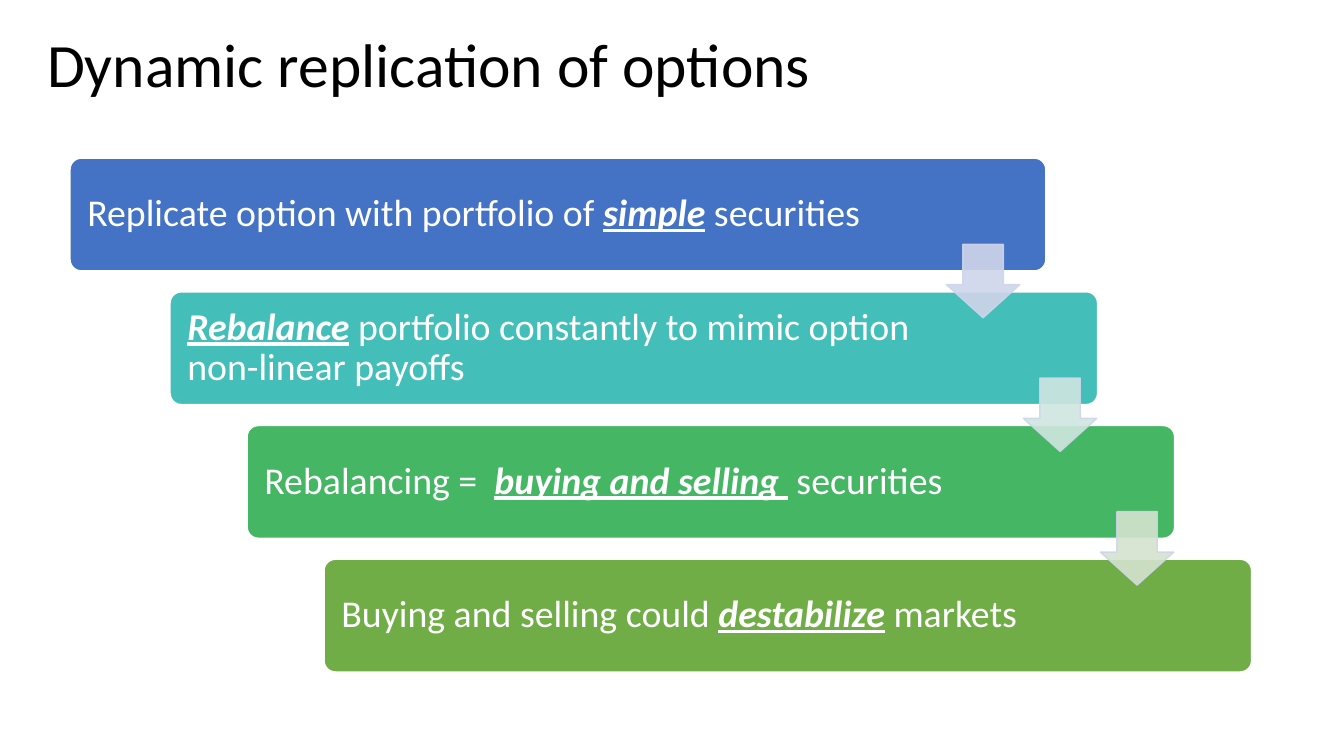
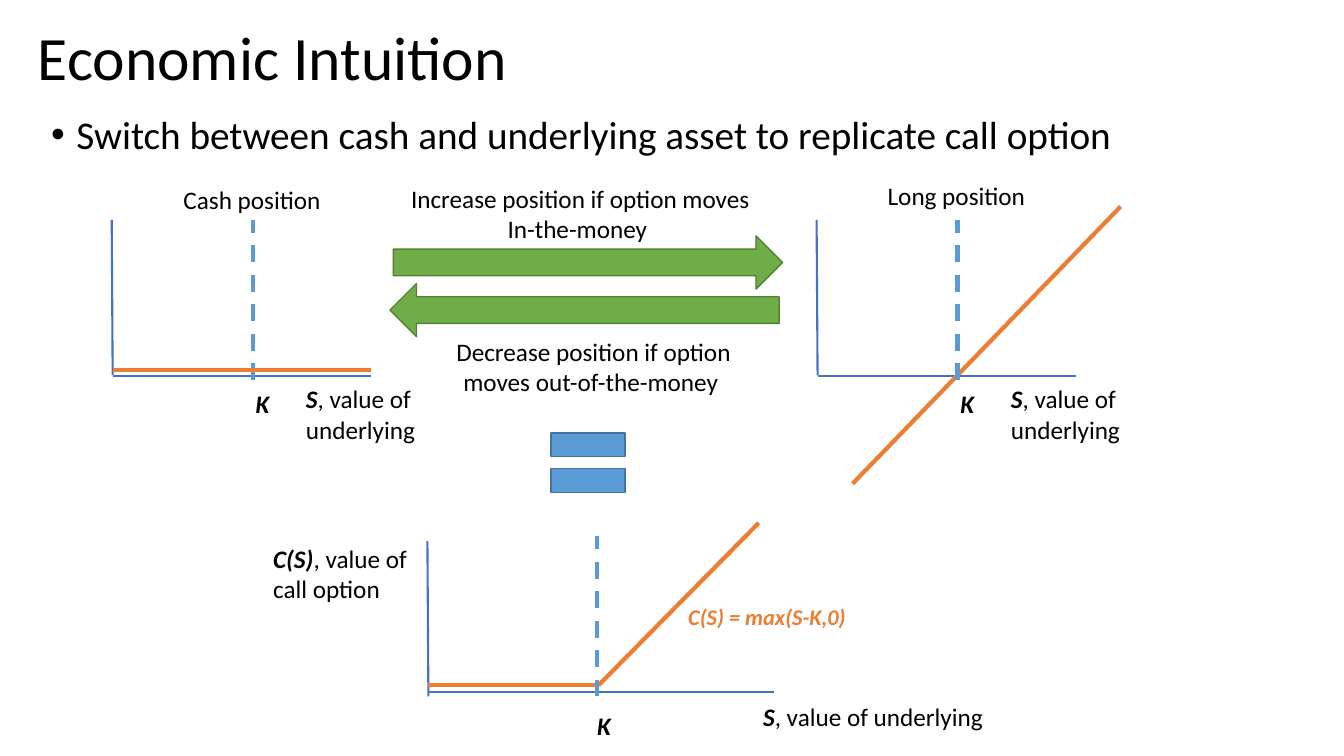
from dataclasses import dataclass

from lxml import etree
from pptx import Presentation
from pptx import util as u
from pptx.dml.color import RGBColor
from pptx.enum import dml, shapes, text
from pptx.oxml.ns import qn


@dataclass(frozen=True)
class Theme:
    font: str = "Calibri"
    black: str = "000000"
    white: str = "FFFFFF"
    axis: str = "4472C4"
    strike: str = "5B9BD5"
    strike_edge: str = "43739E"
    payoff: str = "ED7D31"
    green: str = "70AD47"
    green_edge: str = "538035"
    steps: tuple = ("4472C4", "43BEB9", "45B664", "70AD47")
    step_arrows: tuple = ("CFD5EA", "CFE6E0", "D5E3CF")
    step_arrow_edge: str = "CFD5EA"
    title: int = 44
    bullet: int = 28
    step: int = 27
    label: int = 18
    formula: int = 16
    thin: float = 1.5
    thick: float = 3


theme = Theme()
Pt = u.Pt
rgb = RGBColor.from_string
kinds = shapes.MSO_SHAPE
left, center = text.PP_ALIGN.LEFT, text.PP_ALIGN.CENTER


def write(sp, lines, size, color=theme.black, align=left, wrap=True, spacing=1, underline=False):
    tf = sp.text_frame
    tf.word_wrap = wrap
    for i, line in enumerate(lines):
        p = tf.add_paragraph() if i else tf.paragraphs[0]
        p.alignment = align
        p.line_spacing = spacing
        for j, part in enumerate(line.split("*")):
            if not part:
                continue
            r = p.add_run()
            r.text = part
            r.font.name = theme.font
            r.font.size = Pt(size)
            r.font.color.rgb = rgb(color)
            if j % 2:
                r.font.bold = r.font.italic = True
                r.font.underline = underline
    return tf


def draw(s, kind, box, fill=None, edge=None, width=1):
    if kind == "line":
        sp = s.shapes.add_connector(shapes.MSO_CONNECTOR.STRAIGHT, *map(Pt, box))
        etree.SubElement(sp._element.spPr, qn("a:effectLst"))
    else:
        sp = s.shapes.add_shape(kind, *map(Pt, box))
        sp.shadow.inherit = False
        sp.fill.solid()
        sp.fill.fore_color.rgb = rgb(fill)
    sp.line.color.rgb = rgb(edge)
    sp.line.width = Pt(width)
    return sp


prs = Presentation()
prs.slide_width, prs.slide_height = Pt(960), Pt(540)

slides = []
for title, box in (
    ("Dynamic replication of options", (26.5, 1.5, 868, 93)),
    ("Economic Intuition", (20, -3, 808, 93)),
):
    s = prs.slides.add_slide(prs.slide_layouts[6])
    tf = write(s.shapes.add_textbox(*map(Pt, box)), [title], theme.title, spacing=0.9)
    tf.vertical_anchor = text.MSO_ANCHOR.MIDDLE
    slides.append(s)

s = slides[0]
step_x, step_y = 55, 95.5
steps = (
    (50, 697, "Replicate option with portfolio of *simple* securities"),
    (121.5, 662.5, "*Rebalance* portfolio constantly to mimic option non-linear payoffs"),
    (121.5 + step_x, 662.5, "Rebalancing =  *buying and selling * securities"),
    (121.5 + 2 * step_x, 662.5, "Buying and selling could *destabilize* markets"),
)
for i, (x, w, line) in enumerate(steps):
    sp = draw(s, kinds.ROUNDED_RECTANGLE, (x, 113 + i * step_y, w, 80.5), theme.steps[i], theme.white)
    sp.adjustments[0] = 0.1
    tf = write(sp, [line], theme.step, theme.white, spacing=0.9, underline=True)
    tf.vertical_anchor = text.MSO_ANCHOR.MIDDLE
    tf.margin_left, tf.margin_right = Pt(10), Pt(118)

for i, fill in enumerate(theme.step_arrows):
    box = (676 + i * step_x, 174.5 + i * step_y, 52.5, 52.5)
    sp = draw(s, kinds.DOWN_ARROW, box, fill, theme.step_arrow_edge)
    sp.adjustments[0], sp.adjustments[1] = 0.55, 0.45
    for color in sp._element.spPr.iter(qn("a:srgbClr")):
        etree.SubElement(color, qn("a:alpha"), val="90000")

s = slides[1]
sp = s.shapes.add_textbox(Pt(29.5), Pt(79), Pt(900), Pt(63))
tf = write(sp, ["Switch between cash and underlying asset to replicate call option"], theme.bullet, spacing=0.9)
pPr = tf.paragraphs[0]._p.get_or_add_pPr()
pPr.set("marL", str(Pt(18)))
pPr.set("indent", str(-Pt(18)))
etree.SubElement(pPr, qn("a:buFont"), typeface="Arial")
etree.SubElement(pPr, qn("a:buChar"), char="•")

graphs = (
    (80.5, 268.5, 184.5, 268, 157, 100, 157, 271.5, []),
    (584, 268.5, 184.5, 268, 157, 100, 157, 271.5, [(609, 345.5, 800.5, 147.5)]),
    (306, 494.5, 247, 497.5, 386.5, 120.5, 383, 497.5,
     [(306, 489.5, 425, 489.5), (427.5, 489.5, 542, 373.5)]),
)
for x, y, w, foot, top, strike, dash_top, dash_foot, payoffs in graphs:
    draw(s, "line", (x, y, x + w, y), edge=theme.axis, width=theme.thin)
    draw(s, "line", (x, foot, x - 0.7, top), edge=theme.axis, width=theme.thin)
    for ends in payoffs:
        draw(s, "line", ends, edge=theme.payoff, width=theme.thick)
    ends = (x + strike, dash_foot, x + strike, dash_top)
    sp = draw(s, "line", ends, edge=theme.strike, width=theme.thick)
    sp.line.dash_style = dml.MSO_LINE.DASH
draw(s, "line", (80.5, 264.5, 265, 264.5), edge=theme.payoff, width=theme.thick)

underlying = ["*S*, value of", "underlying"]
labels = (
    ((175.5, 273.5, 19.5, 29), ["*K*"], left, True),
    ((679, 273.5, 19.5, 29), ["*K*"], left, True),
    ((419.5, 503.5, 19.5, 29), ["*K*"], left, True),
    ((211.5, 270.5, 94.5, 51), underlying, left, True),
    ((715, 270.5, 94.5, 51), underlying, left, True),
    ((538, 497.5, 178, 29), ["*S*, value of underlying"], left, True),
    ((188, 384.5, 115, 51), ["*C(S)*, value of", "call option"], left, True),
    ((124, 128, 114, 29), ["Cash position"], left, False),
    ((627, 125, 114, 29), ["Long position"], left, False),
    ((285, 127.5, 259, 51), ["Increase position if option moves", "In-the-money "], center, False),
    ((317.5, 236.5, 213, 51), ["Decrease position if option", "moves out-of-the-money "], center, False),
)
for box, lines, align, wrap in labels:
    write(s.shapes.add_textbox(*map(Pt, box)), lines, theme.label, align=align, wrap=wrap)
sp = s.shapes.add_textbox(Pt(484.5), Pt(427.5), Pt(214.5), Pt(26.5))
write(sp, ["*C(S) = max(S-K,0)*"], theme.formula, theme.payoff)

draw(s, kinds.MATH_EQUAL, (384, 294.5, 72, 72), theme.strike, theme.strike_edge)
draw(s, kinds.RIGHT_ARROW, (281, 168.5, 278, 38), theme.green, theme.green_edge)
draw(s, kinds.LEFT_ARROW, (278.5, 202.5, 278, 38), theme.green, theme.green_edge)

prs.save("out.pptx")
